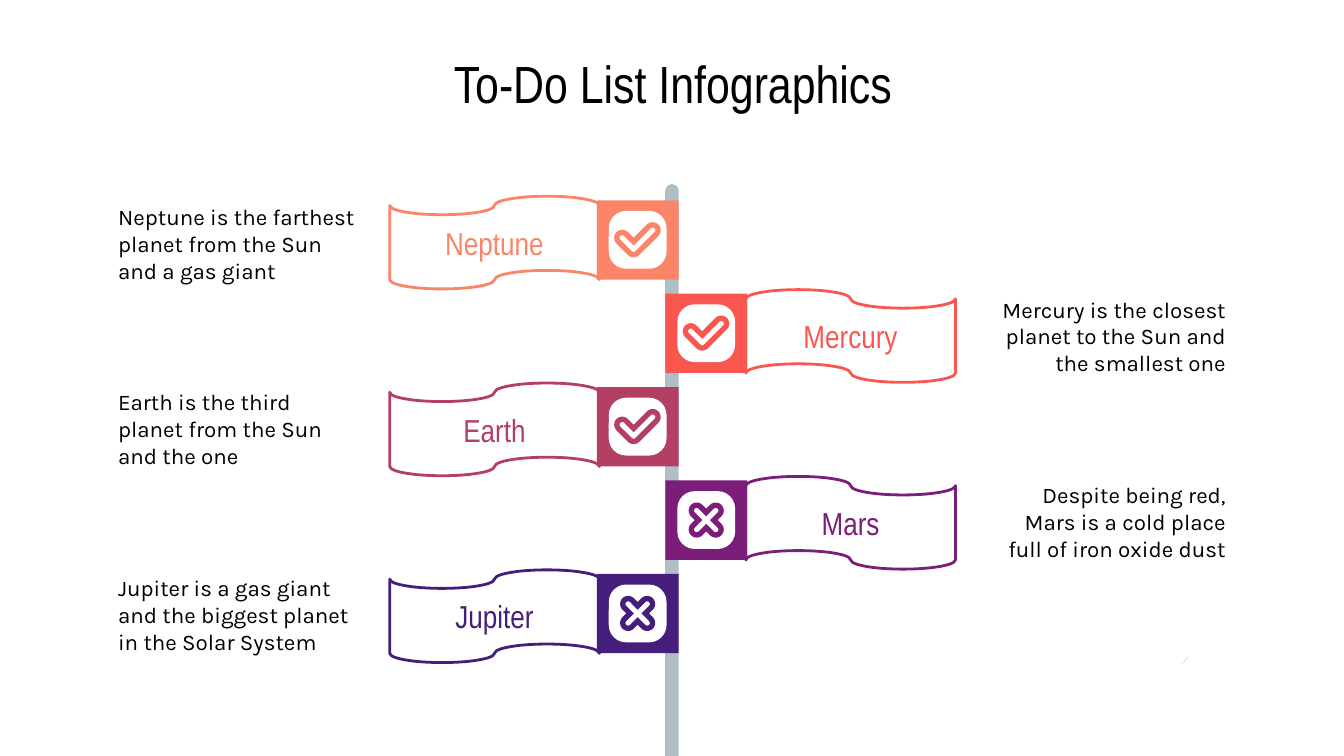
import math
import pptx
import pptx.util
import pptx.dml.color
import pptx.enum.shapes
import pptx.enum.text

Inches = pptx.util.Inches
KIND = pptx.enum.shapes.MSO_SHAPE
ALIGN = pptx.enum.text.PP_ALIGN

TITLE = "To-Do List Infographics"
# name, colour, mark, note
TASKS = [
    ("Neptune", "coral", "check",
     "Neptune is the farthest planet from the Sun and a gas giant"),
    ("Mercury", "red", "check",
     "Mercury is the closest planet to the Sun and the smallest one"),
    ("Earth", "rose", "check",
     "Earth is the third planet from the Sun and the one"),
    ("Mars", "plum", "cross",
     "Despite being red,\vMars is a cold place\vfull of iron oxide dust"),
    ("Jupiter", "indigo", "cross",
     "Jupiter is a gas giant and the biggest planet in the Solar System"),
]
COLORS = {
    "black": "000000", "white": "FFFFFF", "pole": "AFBDC6", "blue": "3561AF",
    "coral": "FB8569", "red": "F9564F", "rose": "B33F62",
    "plum": "7B1E7A", "indigo": "451E7B",
}
# hub offset from the tile centre, then arms as (angle, length) in turn
MARKS = {
    "check": ((-0.03, 0.07), [(225, 0.12), (315, 0.2)]),
    "cross": ((0, 0), [(a, 0.1) for a in (45, 135, 225, 315)]),
}
HEAD, BODY = "Arial Narrow", "Karla"
WIDE = 10
HIGH = WIDE * 9 / 16
MID = WIDE / 2
BLOCK_W, BLOCK_H, TILE = 0.61, 0.59, 0.43
TAPE_W, TAPE_H = 1.56, 0.69
NOTE_W, NOTE_H, EDGE = 1.98, 0.58, 0.78
POLE_W, POLE_TOP = 0.1, 1.37
TOP, STEP = 1.49, 2.78 / 4
NOTE_TOP, NOTE_STEP = 1.52, 0.69


def rgb(name):
    return pptx.dml.color.RGBColor.from_string(COLORS[name])


def write(shape, text, size=12, font=BODY, color="black", align=ALIGN.LEFT):
    frame = shape.text_frame
    frame.word_wrap = True
    frame.auto_size = pptx.enum.text.MSO_AUTO_SIZE.NONE
    frame.vertical_anchor = pptx.enum.text.MSO_ANCHOR.MIDDLE
    frame.margin_left = frame.margin_right = Inches(0.1)
    frame.margin_top = frame.margin_bottom = Inches(0.1)
    para = frame.paragraphs[0]
    para.text = text
    para.alignment = align
    for run in para.runs:
        run.font.size = pptx.util.Pt(size)
        run.font.name = font
        run.font.color.rgb = rgb(color)


def paint(shape, fill=None, line=None):
    shape.shadow.inherit = False
    if fill:
        shape.fill.solid()
        shape.fill.fore_color.rgb = rgb(fill)
    else:
        shape.fill.background()
    if line:
        shape.line.color.rgb = rgb(line)
        shape.line.width = pptx.util.Pt(1.5)
    else:
        shape.line.fill.background()


def add(kind, x, y, w, h, **style):
    shape = slide.shapes.add_shape(kind, *map(Inches, (x, y, w, h)))
    paint(shape, **style)
    return shape


def trace(loops, color):
    """Fill one outline made of several closed loops of points."""
    loops = [[(Inches(x), Inches(y)) for x, y in loop] for loop in loops]
    pen = slide.shapes.build_freeform(*loops[0][0])
    for i, loop in enumerate(loops):
        if i:
            pen.move_to(*loop[0])
        pen.add_line_segments(loop[1:], close=True)
    paint(pen.convert_to_shape(), fill=color)


def polar(x, y, deg, dist):
    rad = math.radians(deg)
    return x + dist * math.cos(rad), y + dist * math.sin(rad)


def outline(x, y, arms, r):
    """Points around round-ended arms of half-width r that meet at x, y."""
    loop = []
    for i, (deg, size) in enumerate(arms):
        tip = polar(x, y, deg, size)
        loop += [polar(*tip, deg + a, r) for a in range(-90, 91, 15)]
        gap = (arms[(i + 1) % len(arms)][0] - deg) % 360
        if gap == 90:
            loop.append(polar(x, y, deg + 45, r * math.sqrt(2)))
        else:
            loop += [polar(x, y, deg + a, r) for a in range(90, gap - 89, 15)]
    return loop


def draw_mark(name, x, y, color):
    (dx, dy), arms = MARKS[name]
    outer, inner = (outline(x + dx, y + dy, arms, r) for r in (0.06, 0.02))
    trace([outer, inner[::-1]], color)


def draw_task(i, name, color, mark, note):
    right = i % 2 == 1
    y = TOP + i * STEP
    # Blocks share the pole's far edge; tapes overlap them slightly
    if right:
        block_x = MID - POLE_W / 2
        tape_x = block_x + BLOCK_W - 0.01
        note_x, align = WIDE - EDGE - NOTE_W, ALIGN.RIGHT
    else:
        block_x = MID + POLE_W / 2 - BLOCK_W
        tape_x = block_x + 0.02 - TAPE_W
        note_x, align = EDGE, ALIGN.LEFT

    box = slide.shapes.add_textbox(
        *map(Inches, (note_x, NOTE_TOP + i * NOTE_STEP, NOTE_W, NOTE_H)))
    write(box, note, align=align)

    tape = add(KIND.FLOWCHART_PUNCHED_TAPE,
               tape_x, y - 0.03, TAPE_W, TAPE_H, line=color)
    if right:
        tape._element.spPr.get_or_add_xfrm().set("flipH", "1")
    write(tape, name, size=17, font=HEAD, color=color, align=ALIGN.CENTER)

    add(KIND.RECTANGLE, block_x, y, BLOCK_W, BLOCK_H, fill=color)
    mid_x, mid_y = block_x + BLOCK_W / 2, y + BLOCK_H / 2
    tile = add(KIND.ROUNDED_RECTANGLE, mid_x - TILE / 2, mid_y - TILE / 2,
               TILE, TILE, fill="white")
    tile.adjustments[0] = 0.3
    draw_mark(mark, mid_x, mid_y, color)


deck = pptx.Presentation()
deck.slide_width, deck.slide_height = Inches(WIDE), Inches(HIGH)
slide = deck.slides.add_slide(deck.slide_layouts[5])

title = slide.shapes.title
title.left, title.top, title.width, title.height = map(
    Inches, (EDGE, 0.35, 8.45, 0.53))
write(title, TITLE, size=28, font=HEAD, align=ALIGN.CENTER)

trace([[(8.84, 4.89), (8.81, 4.92), (8.79, 4.94)]], "blue")
pole = add(KIND.ROUND_2_SAME_RECTANGLE, MID - POLE_W / 2, POLE_TOP,
           POLE_W, HIGH - POLE_TOP, fill="pole")
pole.adjustments[0] = 0.5
for i, task in enumerate(TASKS):
    draw_task(i, *task)

deck.save("out.pptx")
